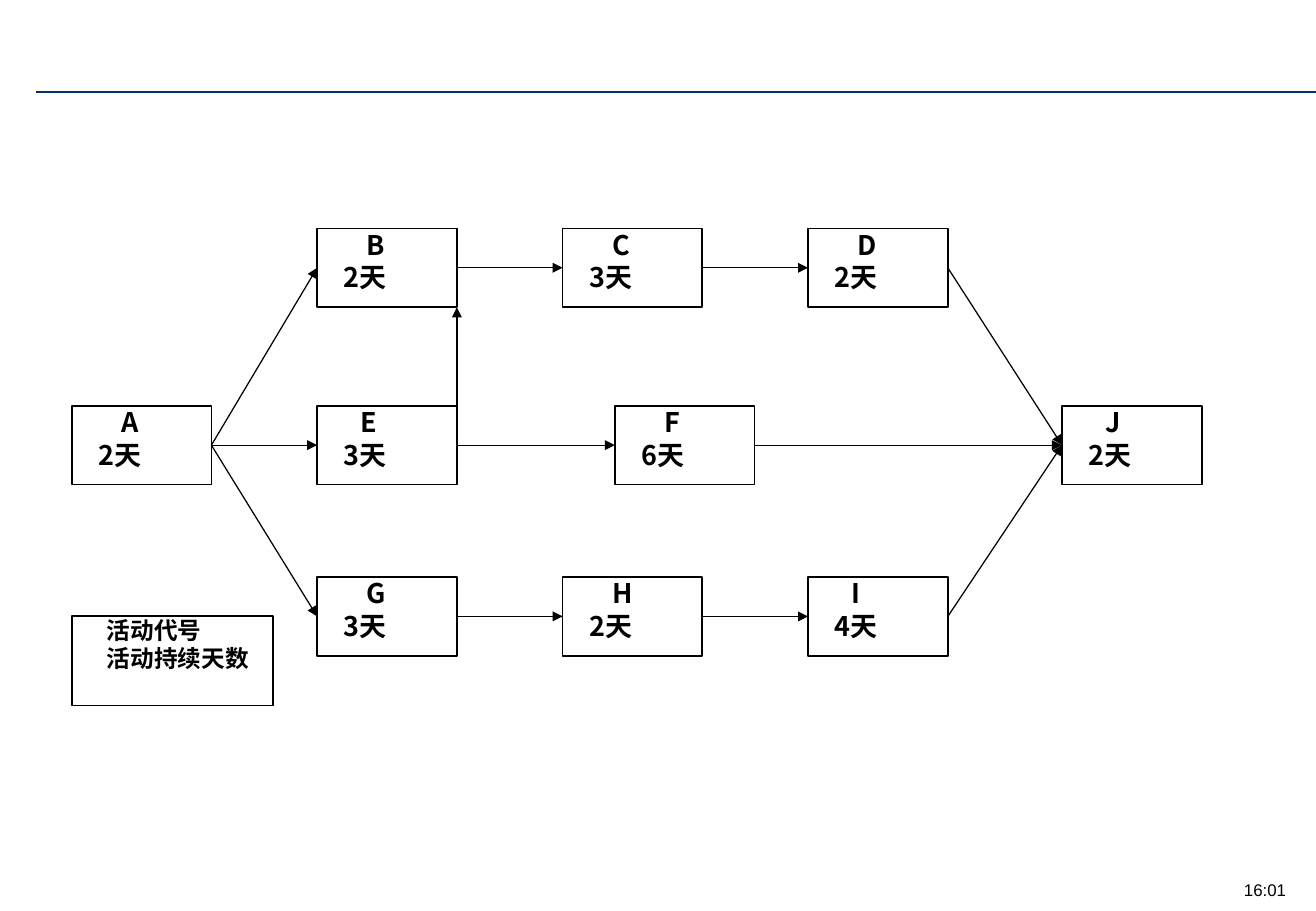
from pptx import Presentation
from pptx.dml.color import RGBColor
from pptx.enum.shapes import MSO_CONNECTOR as CONN, MSO_SHAPE as SHAPE
from pptx.enum.text import MSO_ANCHOR as ANCHOR, PP_ALIGN as ALIGN
from pptx.oxml.ns import qn
from pptx.util import Inches, Pt
from lxml.etree import SubElement

CJK = "Noto Sans CJK SC"
BLACK, WHITE, NAVY = "000000", "FFFFFF", "003366"
TOP, LEFT, BOTTOM, RIGHT = range(4)
NODE_W, NODE_H = 1.15, 0.65
PITCH = 2.02
ROWS = (0, 1.46, 2.87)

# name: (days, x offset, row, indent of the name)
ACTIVITIES = {
    "A": (2, 0, 1, 0.41),
    "B": (2, PITCH, 0, 0.41),
    "E": (3, PITCH, 1, 0.36),
    "G": (3, PITCH, 2, 0.41),
    "C": (3, 2 * PITCH, 0, 0.41),
    "F": (6, 4.47, 1, 0.41),
    "D": (2, 3 * PITCH, 0, 0.41),
    "H": (2, 2 * PITCH, 2, 0.41),
    "J": (2, 8.15, 1, 0.36),
    "I": (4, 3 * PITCH, 2, 0.36),
}
LINKS = ("AE", "AG", "AB", "BC", "CD", "GH", "HI", "EF", "FJ", "DJ", "IJ")


def rgb(color):
    return RGBColor.from_string(color)


def write(p, text, size=16, font=CJK, bold=True, color=BLACK, align=ALIGN.LEFT, indent=0):
    p.alignment = align
    pPr = p._p.get_or_add_pPr()
    pPr.set("marL", "0")
    pPr.set("indent", str(int(Inches(indent))))
    r = p.add_run()
    r.text = text
    r.font.size, r.font.name, r.font.bold = Pt(size), font, bold
    r.font.color.rgb = rgb(color)
    SubElement(r._r.get_or_add_rPr(), qn("a:ea")).set("typeface", font)


def add_box(slide, x, y, w, h, lines, size=16):
    """Outlined box with one paragraph per (text, indent) pair."""
    sp = slide.shapes.add_shape(SHAPE.RECTANGLE, *map(Inches, (x, y, w, h)))
    sp.shadow.inherit = False
    sp.fill.solid()
    sp.fill.fore_color.rgb = rgb(WHITE)
    sp.line.color.rgb = rgb(BLACK)
    sp.line.width = Pt(1)
    tf = sp.text_frame
    tf.word_wrap = True
    tf.vertical_anchor = ANCHOR.TOP
    tf.margin_left = tf.margin_top = tf.margin_right = tf.margin_bottom = 0
    for i, (text, indent) in enumerate(lines):
        p = tf.add_paragraph() if i else tf.paragraphs[0]
        write(p, text, size=size, indent=indent)
    return sp


def add_line(slide, x1, y1, x2, y2, color=BLACK, width=0.75, arrow=True):
    cxn = slide.shapes.add_connector(CONN.STRAIGHT, *map(Inches, (x1, y1, x2, y2)))
    cxn.line.color.rgb = rgb(color)
    cxn.line.width = Pt(width)
    if arrow:
        SubElement(cxn.line._get_or_add_ln(), qn("a:tailEnd")).set("type", "triangle")
    SubElement(cxn._element.spPr, qn("a:effectLst"))
    return cxn


def add_frame(slide, width, height):
    """Header rule and the time at the bottom right."""
    add_line(slide, 0.3, 0.76, width, 0.76, color=NAVY, width=1, arrow=False)
    tb = slide.shapes.add_textbox(*map(Inches, (width - 0.73, height - 0.31, 0.62, 0.27)))
    tb.text_frame.word_wrap = True
    write(tb.text_frame.paragraphs[0], "16:01", size=10, font="Arial",
          bold=False, align=ALIGN.CENTER)


def add_network(slide, left, top):
    nodes = {}
    for name, (days, dx, row, indent) in ACTIVITIES.items():
        nodes[name] = add_box(slide, left + dx, top + ROWS[row], NODE_W, NODE_H,
                              [(name, indent), (f"{days}天", 0.22)])
    for start, end in LINKS:
        cxn = add_line(slide, left, top, left, top)
        cxn.begin_connect(nodes[start], RIGHT)
        cxn.end_connect(nodes[end], LEFT)
    # E leads up to the lower right corner of B
    edge = left + PITCH + NODE_W
    cxn = add_line(slide, edge, top + ROWS[1] + NODE_H / 2, edge, top + NODE_H)
    cxn.begin_connect(nodes["E"], RIGHT)


def add_legend(slide, left, top):
    add_box(slide, left, top, 1.66, 0.74,
            [("活动代号", 0.29), ("活动持续天数", 0.29)], size=14)


def main():
    prs = Presentation()
    width, height = 10.83, 7.5
    prs.slide_width, prs.slide_height = Inches(width), Inches(height)
    slide = prs.slides.add_slide(prs.slide_layouts[6])
    add_frame(slide, width, height)
    add_network(slide, 0.59, 1.88)
    add_legend(slide, 0.59, 5.07)
    prs.save("out.pptx")


if __name__ == "__main__":
    main()
